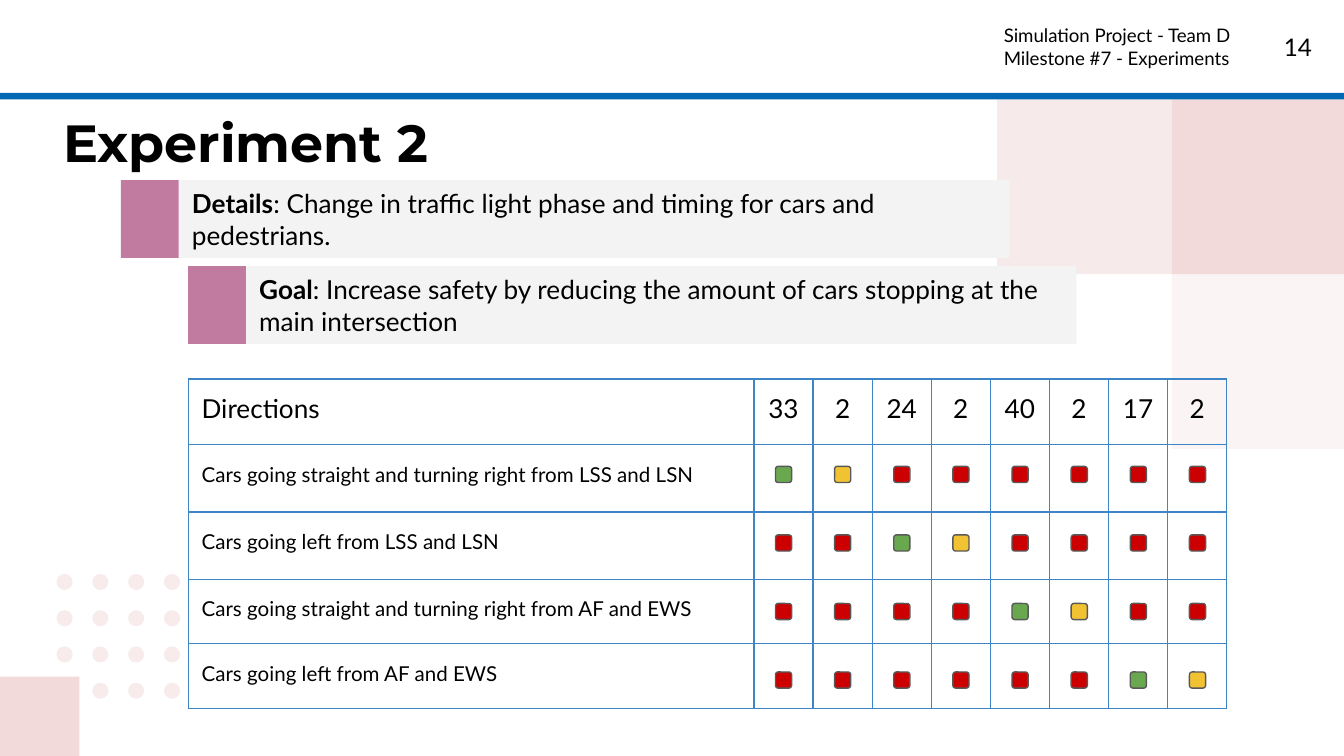
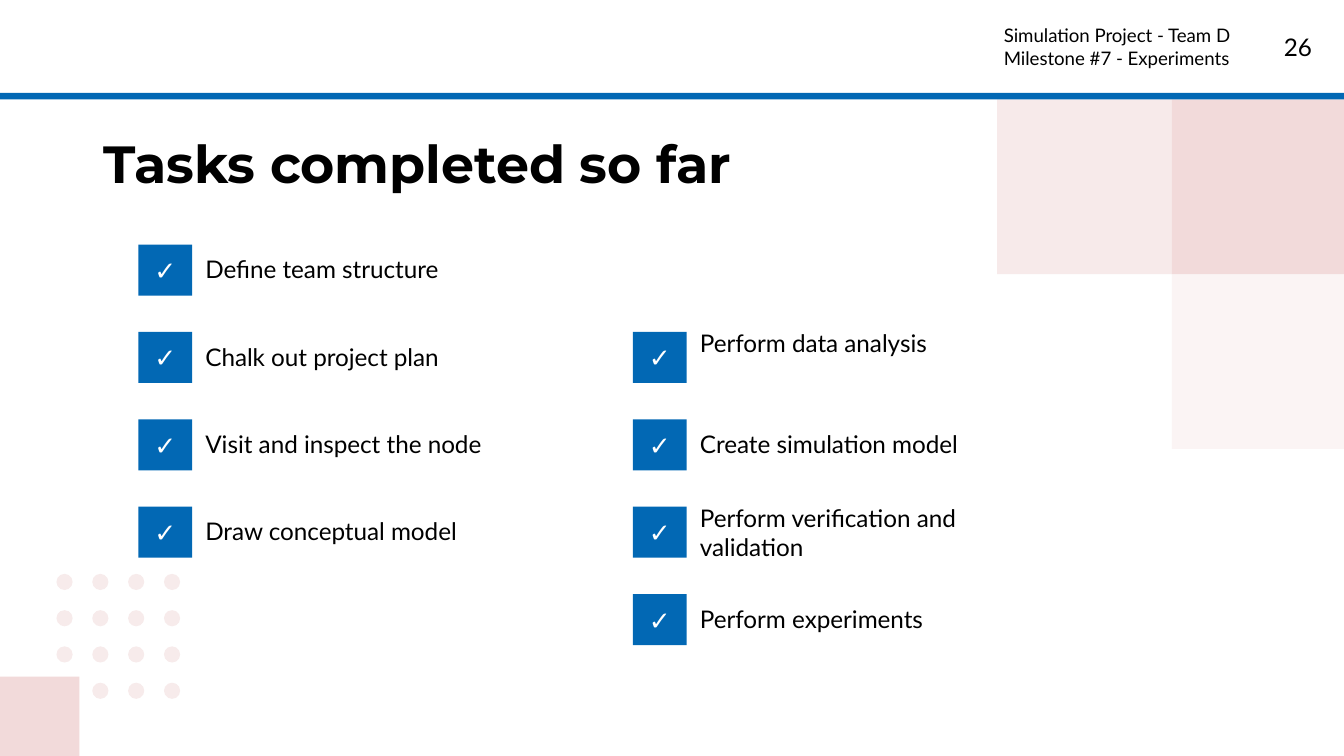
"""Builds two slides of a traffic simulation report: an experiment and the completed tasks."""
from itertools import product

from lxml.etree import SubElement
from pptx import Presentation
from pptx.dml.color import RGBColor
from pptx.enum.shapes import MSO_SHAPE
from pptx.enum.text import MSO_ANCHOR, MSO_AUTO_SIZE, PP_ALIGN
from pptx.oxml import parse_xml
from pptx.oxml.ns import nsdecls, qn
from pptx.util import Inches, Pt

WIDTH = 10
HEIGHT = WIDTH * 9 / 16
BLUE, PINK, PALE_PINK, MAUVE = "0268B4", "F2DADA", "F7EBEB", "C27BA0"
GRAY, WHITE, BLACK, BORDER, OUTLINE = "F3F3F3", "FFFFFF", "000000", "3D85C6", "595959"
LIGHTS = {"G": "6AA84F", "Y": "F1C232", "R": "CC0000"}

HEADER = ["Simulation Project - Team D", "Milestone #7 - Experiments"]
EXPERIMENT = {"title": "Experiment 2", "number": "14", "at": (0.37, 0.72, 6.54, 0.63)}
TASKS = {"title": "Tasks completed so far", "number": "26", "at": (0.67, 0.88, 8.44, 0.63)}

NOTES = [
    ("Details", ": Change in traffic light phase and timing for cars and pedestrians."),
    ("Goal", ": Increase safety by reducing the amount of cars stopping at the main intersection"),
]
DURATIONS = ["33", "2", "24", "2", "40", "2", "17", "2"]
DIRECTIONS = [
    ("Cars going straight and turning right from LSS and LSN", "GYRRRRRR"),
    ("Cars going left from LSS and LSN", "RRGYRRRR"),
    ("Cars going straight and turning right from AF and EWS", "RRRRGYRR"),
    ("Cars going left from AF and EWS", "RRRRRRGY"),
]
ROW_HEIGHTS = [0.49, 0.5, 0.5, 0.48, 0.48]
TABLE_LEFT, TABLE_TOP, NAME_WIDTH, PHASE_WIDTH = 1.4, 2.82, 4.21, 0.44
LIGHT_SIZE, LIGHT_TOP, LIGHT_STEP = 0.12, 3.47, 0.51

TASK_COLUMNS = [
    (1.03, 0, ["Define team structure", "Chalk out project plan",
               "Visit and inspect the node", "Draw conceptual model"]),
    (4.71, 1, ["Perform data analysis", "Create simulation model",
               "Perform verification and validation", "Perform experiments"]),
]
TALL_TASKS = {"Perform data analysis", "Perform verification and validation"}
TASK_TOP, TASK_STEP, CHECK_WIDTH, CHECK_HEIGHT = 1.82, 0.65, 0.4, 0.38


def color(code):
    return RGBColor.from_string(code)


def inches(values):
    return [Inches(value) for value in values]


def write(frame, paragraphs, size, align=PP_ALIGN.LEFT, anchor=MSO_ANCHOR.TOP,
          font="Lato", fill=BLACK, side=0.1):
    """Fills a text frame with paragraphs, each a list of (text, bold) spans."""
    settings = {"word_wrap": True, "auto_size": MSO_AUTO_SIZE.NONE, "vertical_anchor": anchor,
                "margin_left": Inches(side), "margin_right": Inches(side),
                "margin_top": Inches(0.1), "margin_bottom": Inches(0.1)}
    for name, value in settings.items():
        setattr(frame, name, value)
    for index, spans in enumerate(paragraphs):
        para = frame.add_paragraph() if index else frame.paragraphs[0]
        para.alignment = align
        add_spans(para, spans, size, font, fill)


def add_spans(para, spans, size, font="Lato", fill=BLACK):
    for text, bold in spans:
        span = para.add_run()
        span.text = text
        for name, value in {"name": font, "size": Pt(size), "bold": bold}.items():
            setattr(span.font, name, value)
        span.font.color.rgb = color(fill)


def add_box(page, at, fill, kind=MSO_SHAPE.RECTANGLE, line=None, alpha=None):
    box = page.shapes.add_shape(kind, *inches(at))
    box.shadow.inherit = False
    box.fill.solid()
    box.fill.fore_color.rgb = color(fill)
    if line:
        box.line.color.rgb = color(line)
        box.line.width = Pt(0.75)
    else:
        box.line.fill.background()
    if alpha:
        tone = box.element.spPr.find(qn("a:solidFill"))[0]
        SubElement(tone, qn("a:alpha")).set("val", str(alpha * 1000))
    return box


def add_text(page, at, lines, size, **style):
    box = page.shapes.add_textbox(*inches(at))
    write(box.text_frame, [[(line, False)] for line in lines], size, **style)


def decorate(layout, page):
    """Draws the shared background on a blank page and moves it to the layout."""
    for row, column in product(range(4), range(4)):
        if (row, column) != (3, 0):
            add_box(page, (0.42 + 0.8 * column / 3, 4.27 + 0.27 * row, 0.12, 0.12),
                    PALE_PINK, MSO_SHAPE.OVAL)
    add_box(page, (0, HEIGHT - 0.59, 0.59, 0.59), PINK)
    side = 1.3
    for left, top, alpha in [(8.72, 0.74, None), (8.72, 2.04, 28), (7.42, 0.74, 55)]:
        add_box(page, (left, top, min(side, WIDTH - left), side), PINK, alpha=alpha)
    add_box(page, (0, 0, WIDTH, 0.69), WHITE)
    add_box(page, (0, 0.69, WIDTH, 0.05), BLUE)
    shapes = [shape for shape in page.shapes if not shape.is_placeholder]
    for number, shape in enumerate(shapes, 100):
        shape.element.nvSpPr.cNvPr.set("id", str(number))
        layout.element.cSld.spTree.append(shape.element)


def start_page(page, content):
    title = page.shapes.title
    title.left, title.top, title.width, title.height = inches(content["at"])
    write(title.text_frame, [[(content["title"], True)]], 28, font="Montserrat")
    add_text(page, (9.26, 0.14, 0.6, 0.43), [content["number"]], 13, align=PP_ALIGN.RIGHT)
    add_text(page, (7.37, 0.08, 2.08, 0.52), HEADER, 10)


def format_cell(cell, text, size, align, spacing):
    properties = cell._tc.get_or_add_tcPr()
    for edge in ("lnL", "lnR", "lnT", "lnB"):
        properties.append(parse_xml(
            f'<a:{edge} {nsdecls("a")} w="{Pt(0.75)}"><a:solidFill>'
            f'<a:srgbClr val="{BORDER}"/></a:solidFill></a:{edge}>'))
    cell.fill.background()
    if text:
        for edge in ("left", "right", "top", "bottom"):
            setattr(cell, f"margin_{edge}", Inches(0.1))
        para = cell.text_frame.paragraphs[0]
        para.alignment, para.line_spacing = align, spacing
        add_spans(para, [(text, False)], size)


def add_phase_table(page):
    rows = [["Directions", *DURATIONS]]
    rows += [[name] + [""] * len(DURATIONS) for name, _ in DIRECTIONS]
    widths = [NAME_WIDTH] + [PHASE_WIDTH] * len(DURATIONS)
    at = (TABLE_LEFT, TABLE_TOP, sum(widths), sum(ROW_HEIGHTS))
    table = page.shapes.add_table(len(rows), len(widths), *inches(at)).table
    table.first_row = table.horz_banding = False
    for column, width in zip(table.columns, widths):
        column.width = Inches(width)
    for index, (row, height) in enumerate(zip(table.rows, ROW_HEIGHTS)):
        row.height = Inches(height)
        size, spacing = (11, 1.15) if index else (14, 1.0)
        for place, (cell, text) in enumerate(zip(row.cells, rows[index])):
            align = PP_ALIGN.CENTER if place else PP_ALIGN.LEFT
            format_cell(cell, text, size, align, spacing)


def add_lights(page):
    first = TABLE_LEFT + NAME_WIDTH + (PHASE_WIDTH - LIGHT_SIZE) / 2
    for row, (_, phases) in enumerate(DIRECTIONS):
        for column, phase in enumerate(phases):
            at = (first + PHASE_WIDTH * column, LIGHT_TOP + LIGHT_STEP * row,
                  LIGHT_SIZE, LIGHT_SIZE)
            add_box(page, at, LIGHTS[phase], MSO_SHAPE.FLOWCHART_ALTERNATE_PROCESS, OUTLINE)


def build_experiment(page):
    start_page(page, EXPERIMENT)
    for index, (label, text) in enumerate(NOTES):
        left, top = 0.9 + 0.5 * index, 1.34 + 0.64 * index
        note = add_box(page, (left + 0.43, top, 6.18, 0.58), GRAY)
        write(note.text_frame, [[(label, True), (text, False)]], 14, anchor=MSO_ANCHOR.MIDDLE)
        add_box(page, (left, top, 0.43, 0.58), MAUVE)
    add_phase_table(page)
    add_lights(page)


def build_tasks(page):
    start_page(page, TASKS)
    for left, first_row, tasks in TASK_COLUMNS:
        for row, task in enumerate(tasks, first_row):
            top = TASK_TOP + TASK_STEP * row
            check = add_box(page, (left, top, CHECK_WIDTH, CHECK_HEIGHT), BLUE)
            write(check.text_frame, [[("✓", True)]], 14, PP_ALIGN.CENTER, MSO_ANCHOR.MIDDLE,
                  "Montserrat", WHITE, side=0)
            height = 0.63 if task in TALL_TASKS else 0.43
            text_top = top + (CHECK_HEIGHT - height) / 2
            add_text(page, (left + CHECK_WIDTH, text_top, 2.43, height), [task], 13)


def main():
    deck = Presentation()
    deck.slide_width, deck.slide_height = inches((WIDTH, HEIGHT))
    layout = deck.slide_layouts.get_by_name("Title Only")
    pages = [deck.slides.add_slide(layout) for _ in range(2)]
    decorate(layout, pages[0])
    build_experiment(pages[0])
    build_tasks(pages[1])
    deck.save("out.pptx")


if __name__ == "__main__":
    main()
